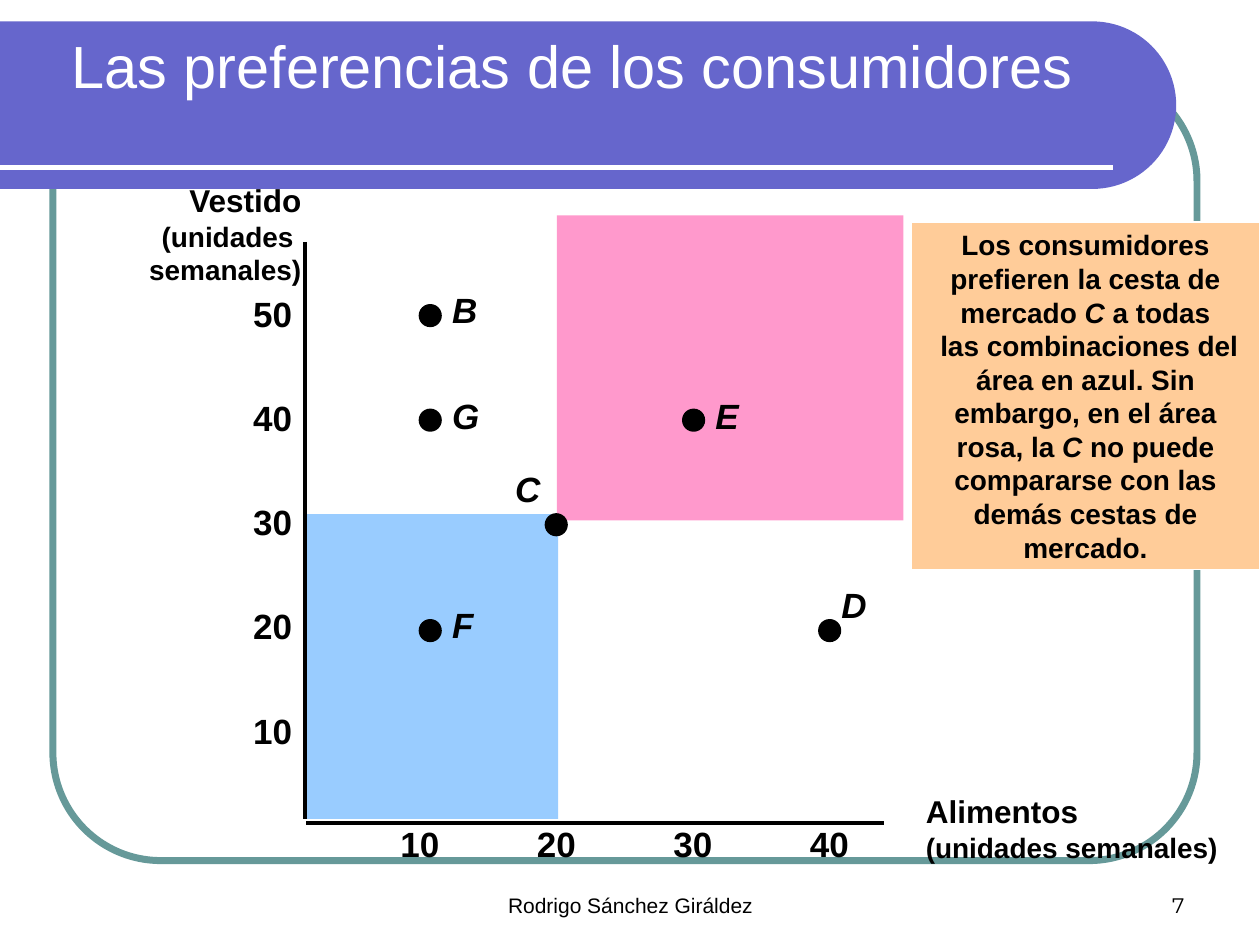
from math import cos, pi, sin

from pptx import Presentation
from pptx.dml.color import RGBColor
from pptx.enum.shapes import MSO_CONNECTOR, MSO_SHAPE
from pptx.enum.text import MSO_ANCHOR, MSO_AUTO_SIZE, PP_ALIGN
from pptx.oxml.ns import qn
from pptx.util import Inches, Pt

BLACK = RGBColor(0x00, 0x00, 0x00)
WHITE = RGBColor(0xFF, 0xFF, 0xFF)
TEAL = RGBColor(0x66, 0x99, 0x99)
PURPLE = RGBColor(0x66, 0x66, 0xCC)
BLUE = RGBColor(0x99, 0xCC, 0xFF)
PINK = RGBColor(0xFF, 0x99, 0xCC)
ORANGE = RGBColor(0xFF, 0xCC, 0x99)

presentation = Presentation()
presentation.slide_width = Inches(10)
presentation.slide_height = Inches(7.5)
slide = presentation.slides.add_slide(presentation.slide_layouts[6])
shapes = slide.shapes


def add_text(text, left, top, width, height, size=20, font="Arial", color=BLACK,
             bold=True, italic=False, align=PP_ALIGN.LEFT, anchor=MSO_ANCHOR.TOP,
             wrap=False, margin=0.1, fill=None):
    """Add a text box; text is a string or a list of paragraphs, each a list of
    (text, size, italic) runs."""
    box = shapes.add_textbox(Inches(left), Inches(top), Inches(width), Inches(height))
    if fill is not None:
        box.fill.solid()
        box.fill.fore_color.rgb = fill
        box.line.color.rgb = WHITE
        box.line.width = Pt(1)
    frame = box.text_frame
    frame.word_wrap = wrap
    frame.auto_size = MSO_AUTO_SIZE.NONE
    frame.vertical_anchor = anchor
    frame.margin_left = frame.margin_right = Inches(margin)
    paragraphs = [[(text, size, italic)]] if isinstance(text, str) else text
    for index, runs in enumerate(paragraphs):
        paragraph = frame.add_paragraph() if index else frame.paragraphs[0]
        paragraph.alignment = align
        for run_text, run_size, run_italic in runs:
            run = paragraph.add_run()
            run.text = run_text
            run.font.name = font
            run.font.size = Pt(run_size)
            run.font.bold = bold
            run.font.italic = run_italic
            run.font.color.rgb = color


def add_line(start, end, color, width):
    line = shapes.add_connector(MSO_CONNECTOR.STRAIGHT, *map(Inches, start + end))
    line.line.color.rgb = color
    line.line.width = Pt(width)
    properties = line._element.spPr
    properties.append(properties.makeelement(qn("a:effectLst"), {}))


# Frame and title banner
frame_border = shapes.add_shape(MSO_SHAPE.ROUNDED_RECTANGLE, Inches(0.42), Inches(0.58),
                                Inches(9.08), Inches(6.25))
frame_border.adjustments[0] = 0.137
frame_border.shadow.inherit = False
frame_border.fill.background()
frame_border.line.color.rgb = TEAL
frame_border.line.width = Pt(4)

banner_top, banner_bottom, arc_center = 0.17, 1.5, 8.67
middle = (banner_top + banner_bottom) / 2
radius = (banner_bottom - banner_top) / 2
arc_steps = 48
angles = [pi * (step / arc_steps - 0.5) for step in range(arc_steps + 1)]
outline = [(arc_center + radius * cos(a), middle + radius * sin(a)) for a in angles]
builder = shapes.build_freeform(0, Inches(banner_top))
builder.add_line_segments([(Inches(x), Inches(y)) for x, y in outline + [(0, banner_bottom)]])
banner = builder.convert_to_shape()
banner.shadow.inherit = False
banner.fill.solid()
banner.fill.fore_color.rgb = PURPLE
banner.line.fill.background()
add_line((0, 1.33), (8.83, 1.33), WHITE, 3)
add_text("Las preferencias de los consumidores", 0.47, 0, 9.53, 0.85, size=34,
         color=WHITE, bold=False, anchor=MSO_ANCHOR.BOTTOM, wrap=True)

# Footer
add_text("Rodrigo Sánchez Giráldez", 3.42, 6.83, 3.17, 0.5, size=12, bold=False,
         align=PP_ALIGN.CENTER, anchor=MSO_ANCHOR.BOTTOM, wrap=True)
add_text("7", 7.17, 6.83, 2.33, 0.5, size=12, font="Montserrat", bold=False,
         align=PP_ALIGN.RIGHT, anchor=MSO_ANCHOR.BOTTOM, wrap=True)

# Areas worse and better than basket C
for left, top, width, color in [(2.43, 4.08, 2, BLUE), (4.42, 1.71, 2.75, PINK)]:
    area = shapes.add_shape(MSO_SHAPE.RECTANGLE, Inches(left), Inches(top),
                            Inches(width), Inches(2.42))
    area.shadow.inherit = False
    area.fill.solid()
    area.fill.fore_color.rgb = color
    area.line.fill.background()

explanation = [
    [("Los consumidores prefieren la cesta de mercado", 16, False),
     (" C", 16, True), (" a todas", 16, False)],
    [(" las combinaciones del área en azul. Sin embargo, en el área rosa, la ", 16, False),
     ("C ", 16, True),
     ("no puede compararse con las demás cestas de mercado.", 16, False)],
]
add_text(explanation, 7.23, 1.76, 2.77, 2.76, align=PP_ALIGN.CENTER, wrap=True,
         margin=0.06, fill=ORANGE)

# Axes, titles and scales
add_line((2.42, 1.92), (2.42, 6.5), BLACK, 2)
add_line((2.43, 6.53), (7.02, 6.53), BLACK, 2)
add_text([[("Alimentos", 18, False)], [("(unidades semanales)", 16, False)]],
         7.25, 6.24, 2.51, 0.66)
add_text([[("Vestido", 18, False)], [("(unidades ", 16, False)], [("semanales)", 16, False)]],
         1.08, 1.39, 1.41, 0.93, align=PP_ALIGN.RIGHT)
for index in range(5):
    add_text(str(10 * (index + 1)), 1.91, 5.58 - 0.8275 * index, 0.51, 0.43)
for index in range(4):
    add_text(str(10 * (index + 1)), 3.08 + 1.083 * index, 6.48, 0.51, 0.43)

# Market baskets: name, dot left and top, label left, top and width
baskets = [
    ("F", 3.33, 4.92, 3.49, 4.74, 0.37),
    ("G", 3.33, 3.25, 3.49, 3.08, 0.41),
    ("B", 3.33, 2.42, 3.49, 2.24, 0.4),
    ("C", 4.33, 4.08, 3.99, 3.66, 0.4),
    ("E", 5.42, 3.25, 5.58, 3.08, 0.38),
    ("D", 6.5, 4.92, 6.58, 4.58, 0.4),
]
for name, dot_left, dot_top, label_left, label_top, label_width in baskets:
    dot = shapes.add_shape(MSO_SHAPE.OVAL, Inches(dot_left), Inches(dot_top),
                           Inches(0.17), Inches(0.17))
    dot.shadow.inherit = False
    dot.fill.solid()
    dot.fill.fore_color.rgb = BLACK
    dot.line.color.rgb = BLACK
    dot.line.width = Pt(1)
    add_text(name, label_left, label_top, label_width, 0.43, italic=True)

presentation.save("out.pptx")
